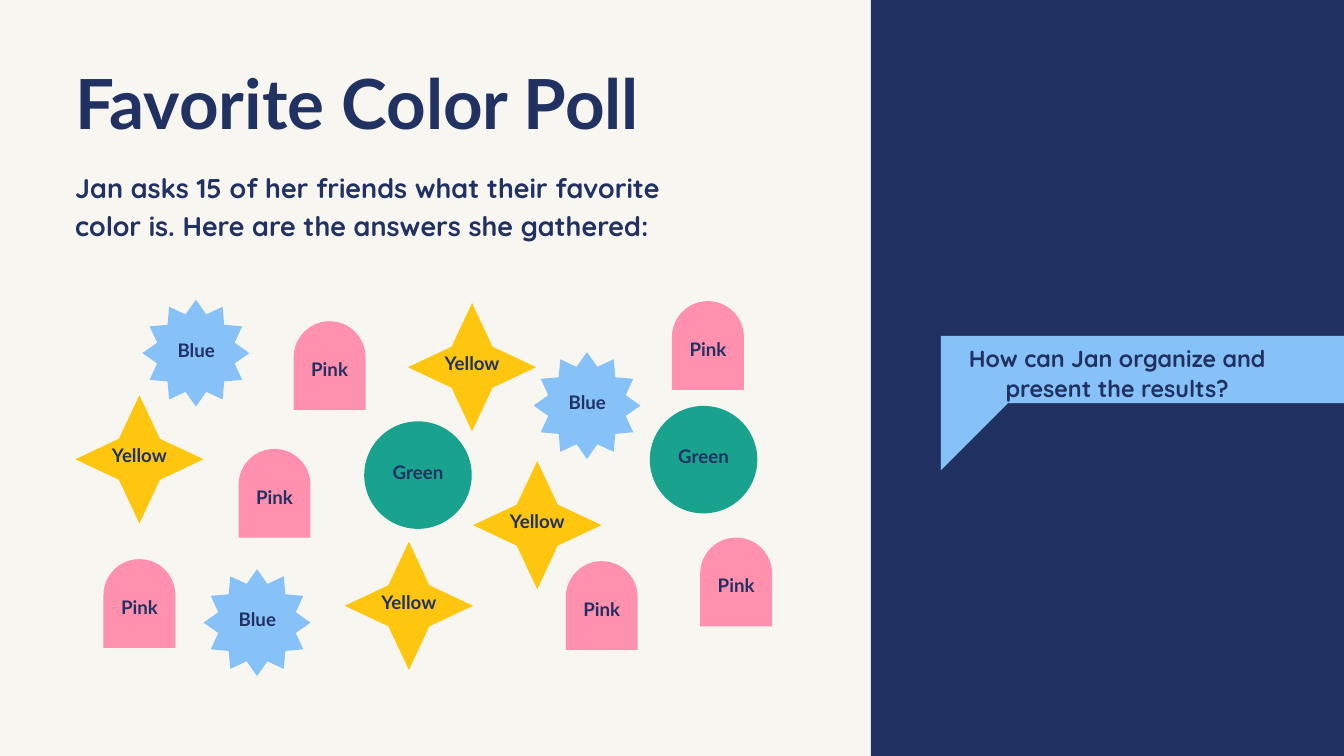
from math import cos, radians, sin

from pptx import Presentation
from pptx.dml.color import RGBColor
from pptx.enum.shapes import MSO_SHAPE as Preset
from pptx.enum.text import MSO_ANCHOR as Anchor, PP_ALIGN as Align
from pptx.util import Inches, Pt

CREAM, NAVY, SKY = "F8F6F1", "203162", "86C2F8"
PINK, YELLOW, GREEN = "FF91AE", "FFC610", "19A28D"

# answer: preset, adjustment, fill, shape size, label offset and size
BADGES = {
    "Blue": (Preset.STAR_12_POINT, 0.375, SKY, (1.59, 1.59), (0.25, 0.2, 1.1, 1.15)),
    "Pink": (Preset.ROUND_2_SAME_RECTANGLE, 0.5, PINK, (1.07, 1.32), (0, 0.16, 1.07, 1.16)),
    "Yellow": (Preset.STAR_4_POINT, 0.226, YELLOW, (1.91, 1.91), (0.45, 0.38, 1.01, 1.08)),
    "Green": (Preset.OVAL, None, GREEN, (1.6, 1.6), (0.15, 0.1, 1.3, 1.36)),
}
ANSWERS = {
    "Blue": [(2.12, 4.46), (7.94, 5.24), (3.03, 8.47)],
    "Pink": [(4.37, 4.78), (10.42, 8), (10, 4.48), (1.54, 8.32), (8.42, 8.35), (3.55, 6.68)],
    "Yellow": [(6.07, 4.51), (5.13, 8.06), (1.12, 5.88), (7.04, 6.86)],
    "Green": [(5.42, 6.27), (9.67, 6.04)],
}


def color(value):
    return RGBColor.from_string(value)


def arc(x, y, radius, start, end, step=2):
    """Points along a circle, with angles in degrees clockwise from the right."""
    return [(x + radius * cos(radians(angle)), y + radius * sin(radians(angle)))
            for angle in range(start, end + 1, step)]


class PollSlide:
    def __init__(self, page):
        self.page = page
        page.background.fill.solid()
        page.background.fill.fore_color.rgb = color(CREAM)

    def paint(self, shape, fill):
        shape.shadow.inherit = False
        shape.fill.solid()
        shape.fill.fore_color.rgb = color(fill)
        shape.line.fill.background()

    def shape(self, preset, bounds, fill, adjustment=None, parent=None):
        shapes = (parent or self.page).shapes
        shape = shapes.add_shape(preset, *map(Inches, bounds))
        if adjustment is not None:
            shape.adjustments[0] = adjustment
        self.paint(shape, fill)

    def outline(self, points, fill):
        builder = self.page.shapes.build_freeform(*points[0], scale=Inches(1))
        builder.add_line_segments(points[1:], close=True)
        self.paint(builder.convert_to_shape(), fill)

    def text(self, wording, bounds, font, size, spacing, inset=0, centered=False, parent=None):
        box = (parent or self.page).shapes.add_textbox(*map(Inches, bounds))
        frame = box.text_frame
        frame.word_wrap = True
        frame.margin_left = frame.margin_right = Inches(inset)
        frame.margin_top = frame.margin_bottom = Inches(inset)
        frame.vertical_anchor = Anchor.MIDDLE if centered else Anchor.TOP
        para = frame.paragraphs[0]
        para.text = wording
        para.alignment = Align.CENTER if centered else Align.LEFT
        para.line_spacing = Pt(spacing)
        para.font.name, para.font.size, para.font.bold = font, Pt(size), True
        para.font.color.rgb = color(NAVY)

    def badge(self, answer, left, top):
        preset, adjustment, fill, size, (dx, dy, width, height) = BADGES[answer]
        group = self.page.shapes.add_group_shape()
        self.shape(preset, (left, top, *size), fill, adjustment, group)
        self.text(answer, (left + dx, top + dy, width, height), "Lato", 20, 20.2,
                  inset=0.06, centered=True, parent=group)

    def bubble(self, left, top, right, bottom):
        radius = (bottom - top) / 2
        middle = top + radius
        tail = [(left + 1, bottom), (left + 0.46, bottom + 0.45)]
        self.outline(arc(right - radius, middle, radius, -90, 90) + tail
                     + arc(left + radius, middle, radius, 116, 270), SKY)


def main():
    deck = Presentation()
    deck.slide_width, deck.slide_height = Inches(20), Inches(11.25)
    slide = PollSlide(deck.slides.add_slide(deck.slide_layouts[6]))

    for answer, places in ANSWERS.items():
        for left, top in places:
            slide.badge(answer, left, top)

    slide.shape(Preset.RECTANGLE, (12.96, 0, 7.04, 11.25), NAVY)
    slide.bubble(13.74, 4.75, 19.51, 6.39)
    slide.text("How can Jan organize and present the results?", (13.74, 4.77, 5.77, 1.53),
               "Quicksand", 25, 32.5, inset=0.28, centered=True)
    slide.text("Jan asks 15 of her friends what their favorite color is. "
               "Here are the answers she gathered:", (1.12, 2.47, 9.63, 1.11),
               "Quicksand", 29, 40.6)
    slide.text("Favorite Color Poll", (1.12, 0.9, 10.74, 1.46), "Lato", 74, 88.8)
    deck.save("out.pptx")


if __name__ == "__main__":
    main()
